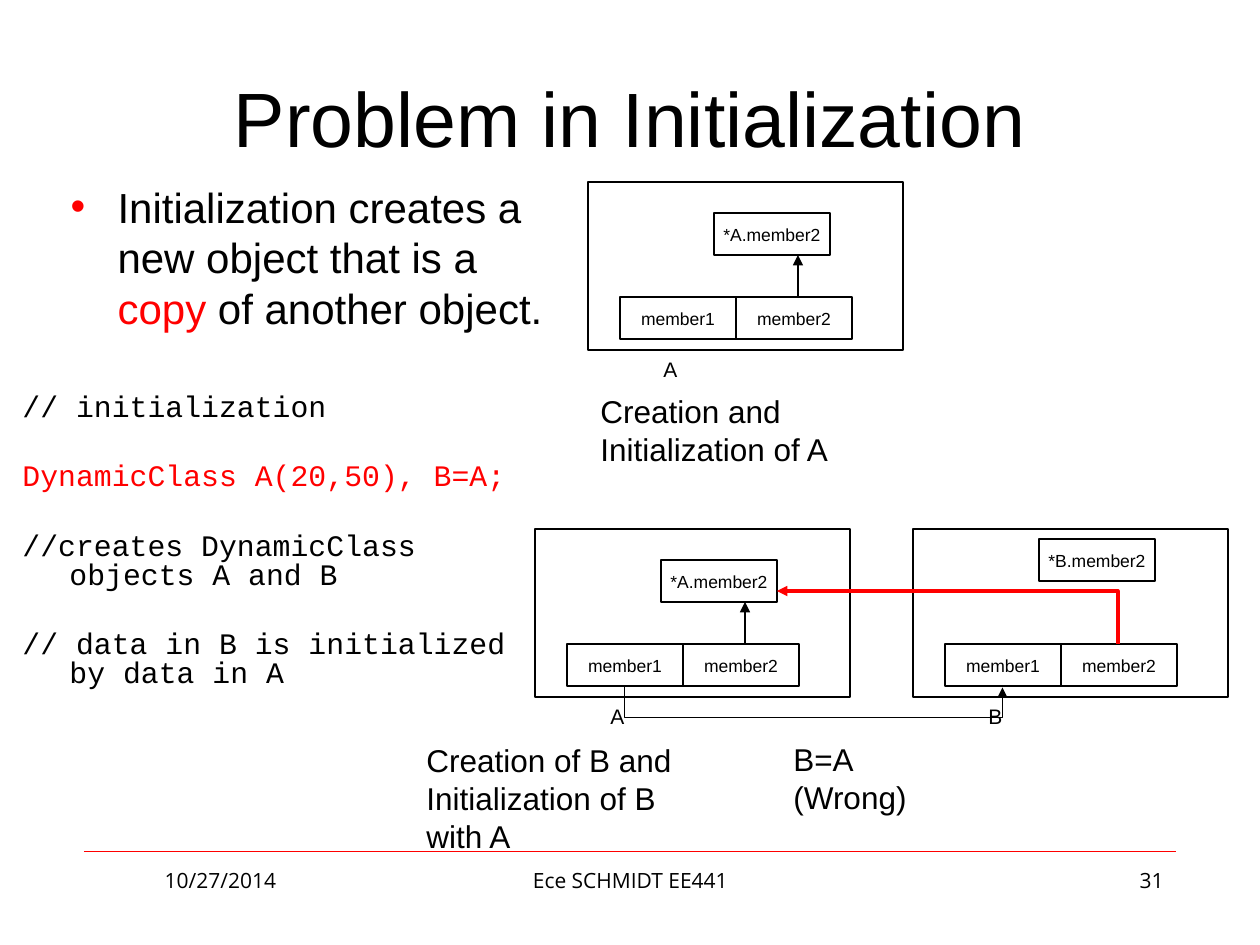
from lxml import etree
from pptx import Presentation
from pptx.dml.color import RGBColor
from pptx.enum.shapes import MSO_CONNECTOR, MSO_SHAPE
from pptx.enum.text import MSO_ANCHOR, MSO_AUTO_SIZE, PP_ALIGN
from pptx.oxml.ns import qn
from pptx.util import Pt

STRAIGHT, ELBOW = MSO_CONNECTOR.STRAIGHT, MSO_CONNECTOR.ELBOW
RECT = MSO_SHAPE.RECTANGLE
LEFT, CENTER, RIGHT = PP_ALIGN.LEFT, PP_ALIGN.CENTER, PP_ALIGN.RIGHT
TOP, MIDDLE = MSO_ANCHOR.TOP, MSO_ANCHOR.MIDDLE
NO_FIT = MSO_AUTO_SIZE.NONE

PX = 914400 / 126
BLACK, RED = "000000", "FF0000"
CELL_W, CELL_H = 116, 42
FRAME_W, FRAME_H = 315, 168


def px(*lengths):
    """Turn pixels into EMU."""
    return [round(n * PX) for n in lengths]


def rgb(value):
    """Colour from a hex string."""
    return RGBColor.from_string(value)


def write(tf, paragraphs, size=18, font="Arial", color=BLACK, align=LEFT,
          anchor=TOP, wrap=True, before=None, spacing=None, hang=0):
    """Fill a text frame; a paragraph is a list of (text, colour or None)."""
    tf.word_wrap, tf.vertical_anchor, tf.auto_size = wrap, anchor, NO_FIT
    for i, runs in enumerate(paragraphs):
        p = tf.add_paragraph() if i else tf.paragraphs[0]
        p.alignment = align
        if spacing:
            p.line_spacing = spacing
        if before is not None:
            p.space_before = Pt(before if i else 2)
        if hang:
            pPr = p._p.get_or_add_pPr()
            pPr.set("marL", str(px(hang)[0]))
            pPr.set("indent", str(px(-hang)[0]))
        for text, tint in runs:
            r = p.add_run()
            r.text = text
            r.font.size, r.font.name = Pt(size), font
            r.font.color.rgb = rgb(tint or color)


def label(s, box, text, **fmt):
    """Text box with one paragraph."""
    write(s.shapes.add_textbox(*px(*box)).text_frame, [[(text, None)]], **fmt)


def rect(s, box, text=None):
    """Outlined rectangle, with small centred text if given."""
    sp = s.shapes.add_shape(RECT, *px(*box))
    sp.shadow.inherit = False
    sp.fill.background()
    sp.line.color.rgb, sp.line.width = rgb(BLACK), Pt(0.75)
    if text:
        write(sp.text_frame, [[(text, None)]], size=10, align=CENTER,
              anchor=MIDDLE, wrap=False)


def line(s, start, end, color=BLACK, width=0.75, arrow=True, kind=STRAIGHT):
    """Connector without shadow, with an optional arrowhead at its end."""
    cxn = s.shapes.add_connector(kind, *px(*start, *end))
    cxn.line.color.rgb, cxn.line.width = rgb(color), Pt(width)
    if arrow:
        ln = cxn.line._get_or_add_ln()
        etree.SubElement(ln, qn("a:tailEnd")).set("type", "triangle")
    etree.SubElement(cxn._element.spPr, qn("a:effectLst"))
    return cxn


def elbow(s, box, turn, preset, adjust=None, **fmt):
    """Bent arrow in an unturned box, mirrored and then turned by degrees."""
    x, y, w, h = box
    cxn = line(s, (x, y), (x + w, y + h), kind=ELBOW, **fmt)
    spPr = cxn._element.spPr
    xfrm = spPr.find(qn("a:xfrm"))
    xfrm.set("rot", str(turn * 60000))
    xfrm.set("flipH", "1")
    geom = spPr.find(qn("a:prstGeom"))
    geom.set("prst", preset)
    if adjust:
        guides = geom.find(qn("a:avLst"))
        if guides is None:
            guides = etree.SubElement(geom, qn("a:avLst"))
        gd = etree.SubElement(guides, qn("a:gd"))
        gd.set("name", "adj1")
        gd.set("fmla", f"val {round(adjust * 100000)}")


def memory_box(s, x, y, name, target_y=31, arrow=True):
    """One object: frame, two members, pointed-to data and its name."""
    rect(s, (x, y, FRAME_W, FRAME_H))
    rect(s, (x + 126, y + target_y, CELL_W, CELL_H), f"*{name}.member2")
    for i in range(2):
        rect(s, (x + 32 + i * CELL_W, y + 115, CELL_W, CELL_H),
             f"member{i + 1}")
    if arrow:
        line(s, (x + 210, y + 115), (x + 210, y + 31 + CELL_H))
    label(s, (x + 63, y + FRAME_H, 95, 38), name, size=12)


def headings(s):
    """Title and bullet in the template's placeholders."""
    title, body = s.shapes.title, s.placeholders[1]
    title.left, title.top, title.width, title.height = px(63, 38, 1134, 158)
    write(title.text_frame, [[("Problem in Initialization", None)]], size=44,
          align=CENTER, anchor=MIDDLE)
    body.left, body.top, body.width, body.height = px(58, 175, 509, 234)
    write(body.text_frame, [[
        ("Initialization creates a new object that is a ", None),
        ("copy", RED), (" of another object.", None)]], size=24, hang=47)
    pPr = body.text_frame.paragraphs[0]._p.get_or_add_pPr()
    clr = etree.SubElement(pPr, qn("a:buClr"))
    etree.SubElement(clr, qn("a:srgbClr")).set("val", RED)
    etree.SubElement(pPr, qn("a:buChar")).set("char", "•")


def code(s, box):
    """Code listing with hanging indents."""
    lines = [("// initialization", None),
             ("DynamicClass A(20,50), B=A;", RED),
             ("//creates DynamicClass objects A and B", None),
             ("// data in B is initialized by data in A", None)]
    tf = s.shapes.add_textbox(*px(*box)).text_frame
    write(tf, [[item] for item in lines], size=17, font="Courier New",
          before=23.5, spacing=0.8, hang=47)


def diagrams(s):
    """The three objects, the arrows between them and the captions."""
    memory_box(s, 588, 182, "A")
    memory_box(s, 535, 529, "A")
    memory_box(s, 913, 529, "B", target_y=10, arrow=False)
    elbow(s, (813, 498, 1, 378), 270, "bentConnector3", adjust=31)
    elbow(s, (921, 447, 53, 341), 90, "bentConnector2", color=RED, width=2)
    for box, text in [
            ((588, 386, 305, 89), "Creation and Initialization of A"),
            ((414, 735, 305, 127),
             "Creation of B and Initialization of B with A"),
            ((781, 734, 147, 88), "B=A (Wrong)")]:
        label(s, box, text)


def footer(s, y):
    """Red rule with date, author and page number below it."""
    line(s, (84, y), (1176, y), color=RED, width=0.25, arrow=False)
    for x, w, text, align in [(84, 273, "10/27/2014", CENTER),
                              (431, 399, "Ece SCHMIDT EE441", CENTER),
                              (903, 273, "31", RIGHT)]:
        label(s, (x, y + 10, w, 66), text, size=12, font="Open Sans",
              align=align)


prs = Presentation()
prs.slide_width, prs.slide_height = px(1260, 945)
s = prs.slides.add_slide(prs.slide_layouts[1])
footer(s, 851)
headings(s)
code(s, (10, 388, 536, 436))
diagrams(s)
prs.save("out.pptx")
